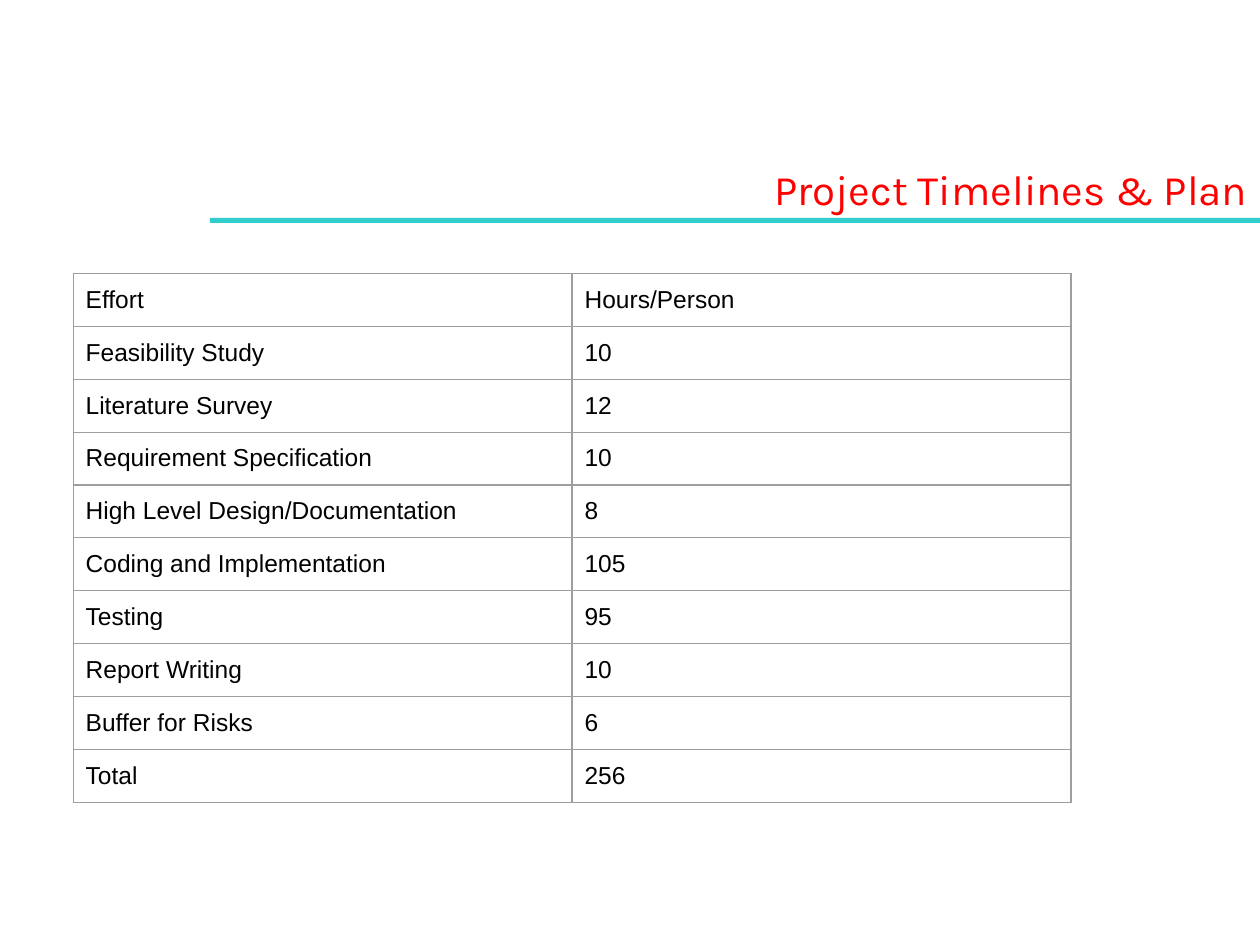
from lxml import etree
from pptx import Presentation, util as u
from pptx.dml.color import RGBColor
from pptx.enum import shapes, text
from pptx.oxml.ns import qn

HUES = {"title": "FF0000", "rule": "33CCCC", "text": "000000", "grid": "9E9E9E"}
ROWS = [
    ("Effort", "Hours/Person"),
    ("Feasibility Study", "10"),
    ("Literature Survey", "12"),
    ("Requirement Specification", "10"),
    ("High Level Design/Documentation", "8"),
    ("Coding and Implementation", "105"),
    ("Testing", "95"),
    ("Report Writing", "10"),
    ("Buffer for Risks", "6"),
    ("Total", "256"),
]
COL, ROW = u.Inches(3.96), u.Inches(0.42)
PAD = u.Inches(0.1)


def style(para, name, size, hue):
    for key, val in {"name": name, "size": u.Pt(size), "bold": False}.items():
        setattr(para.font, key, val)
    para.font.color.rgb = RGBColor.from_string(HUES[hue])


def edge(cell):
    """Draw a thin grid line on all four sides of a cell."""
    props = cell._tc.get_or_add_tcPr()
    for spot, side in enumerate(("lnL", "lnR", "lnT", "lnB")):
        line = etree.Element(qn(f"a:{side}"), w=str(u.Pt(0.75)))
        fill = etree.SubElement(line, qn("a:solidFill"))
        etree.SubElement(fill, qn("a:srgbClr"), val=HUES["grid"])
        props.insert(spot, line)


deck = Presentation()
deck.slide_width, deck.slide_height = u.Inches(10), u.Inches(7.5)
wide = deck.slide_width
slide = deck.slides.add_slide(deck.slide_layouts[5])

# Rule under the title, running to the right edge
left = wide // 6
rule = slide.shapes.add_shape(shapes.MSO_SHAPE.RECTANGLE, left, u.Inches(1.73),
                              wide - left, u.Inches(0.04))
rule.shadow.inherit = False
rule.fill.solid()
rule.fill.fore_color.rgb = RGBColor.from_string(HUES["rule"])
rule.line.fill.background()

# Title
title = slide.shapes.title
spot = {"left": u.Inches(1.5), "top": u.Inches(1.25),
        "width": u.Inches(8.5), "height": u.Inches(0.5)}
for key, val in spot.items():
    setattr(title, key, val)
frame = title.text_frame
frame.text = "Project Timelines & Plan"
form = {"word_wrap": True, "auto_size": text.MSO_AUTO_SIZE.NONE,
        "vertical_anchor": text.MSO_ANCHOR.MIDDLE}
for key, val in form.items():
    setattr(frame, key, val)
head = frame.paragraphs[0]
head.alignment = text.PP_ALIGN.RIGHT
style(head, "Karla", 24, "title")

# Effort table
cols = len(ROWS[0])
table = slide.shapes.add_table(len(ROWS), cols, u.Inches(0.58), u.Inches(2.17),
                               COL * cols, ROW * len(ROWS)).table
table.first_row = table.horz_banding = False
for col in table.columns:
    col.width = COL
for r, row in enumerate(ROWS):
    table.rows[r].height = ROW
    for c, word in enumerate(row):
        cell = table.cell(r, c)
        cell.text = word
        for side in ("left", "right", "top", "bottom"):
            setattr(cell, f"margin_{side}", PAD)
        cell.fill.background()
        edge(cell)
        style(cell.text_frame.paragraphs[0], "Arial", 14, "text")

deck.save("out.pptx")
